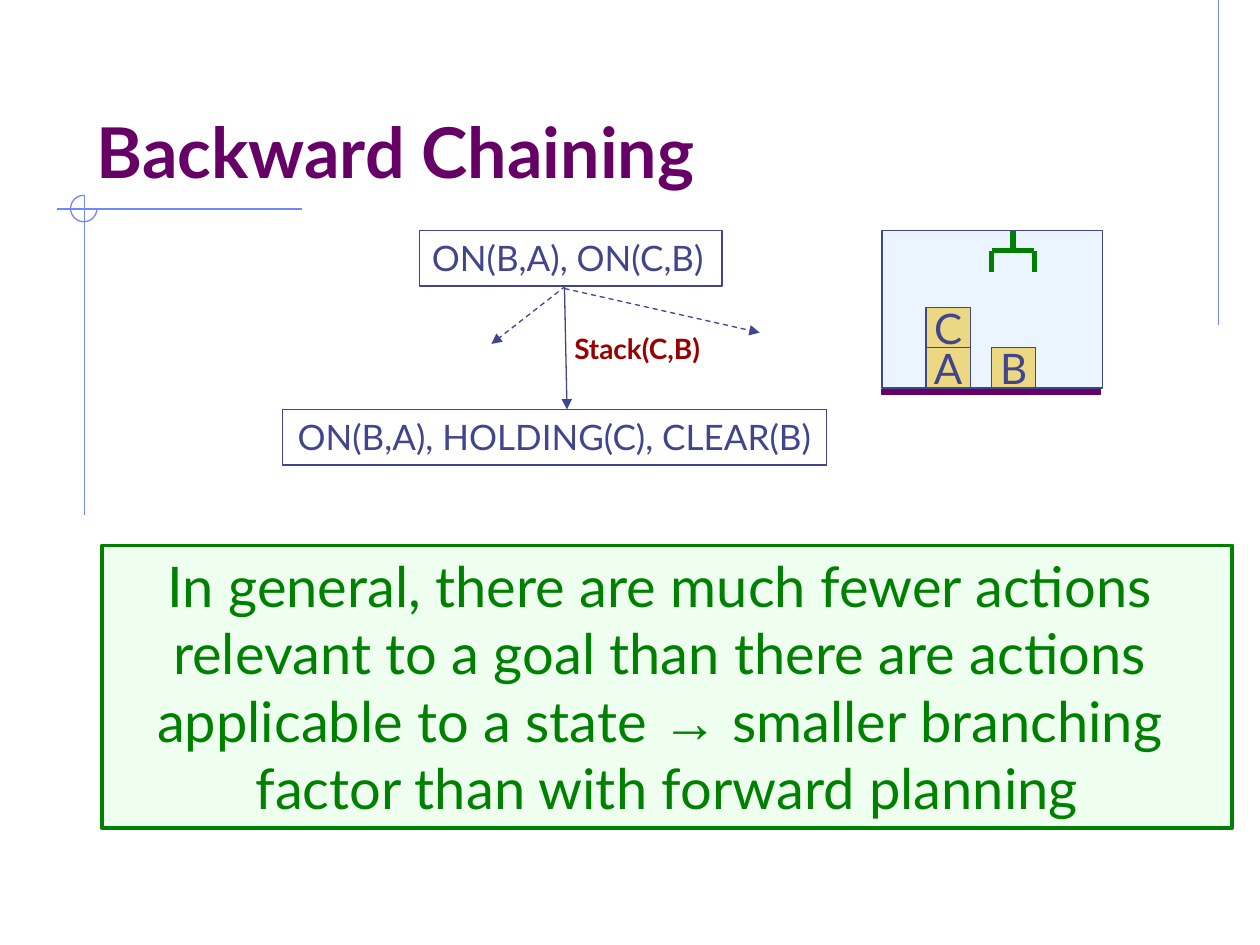
from dataclasses import dataclass
from typing import Optional

from lxml import etree
from pptx import Presentation
from pptx.dml.color import RGBColor
from pptx.enum.dml import MSO_LINE
from pptx.enum.shapes import MSO_CONNECTOR, MSO_SHAPE
from pptx.enum.text import MSO_ANCHOR, MSO_AUTO_SIZE, PP_ALIGN
from pptx.oxml.ns import qn
from pptx.util import Inches, Pt

DASH = MSO_LINE.DASH
STRAIGHT = MSO_CONNECTOR.STRAIGHT
RECTANGLE, ARC = MSO_SHAPE.RECTANGLE, MSO_SHAPE.ARC
TOP, MIDDLE, BOTTOM = MSO_ANCHOR.TOP, MSO_ANCHOR.MIDDLE, MSO_ANCHOR.BOTTOM
FIT, FIXED = MSO_AUTO_SIZE.SHAPE_TO_FIT_TEXT, MSO_AUTO_SIZE.NONE
LEFT, CENTER = PP_ALIGN.LEFT, PP_ALIGN.CENTER

COLORS = {
    "ornament": "6F89F7",
    "purple": "660066",
    "ink": "40458C",
    "action": "990000",
    "green": "008000",
    "mint": "EFFFEF",
    "sky": "EBF5FF",
    "block": "ECD882",
}


@dataclass
class Line:
    start: tuple[float, float]
    end: tuple[float, float]
    color: str = "ink"
    width: float = 0.75
    arrow: bool = False
    dashed: bool = False


@dataclass
class Box:
    left: float
    top: float
    width: float
    height: float
    fill: Optional[str] = None
    outline: Optional[str] = "ink"
    line_width: float = 0.75


@dataclass
class Label:
    paragraphs: list[str]
    size: int
    color: str = "ink"
    bold: bool = False
    align: PP_ALIGN = CENTER
    anchor: MSO_ANCHOR = TOP
    fit: MSO_AUTO_SIZE = FIT


def rgb(name: str) -> RGBColor:
    return RGBColor.from_string(COLORS[name])


def draw_line(slide, line: Line) -> None:
    points = [Inches(value) for value in (*line.start, *line.end)]
    connector = slide.shapes.add_connector(STRAIGHT, *points)
    connector.line.color.rgb = rgb(line.color)
    connector.line.width = Pt(line.width)
    if line.dashed:
        connector.line.dash_style = DASH
    if line.arrow:
        outline = connector.line._get_or_add_ln()
        etree.SubElement(outline, qn("a:tailEnd"), type="triangle")
    etree.SubElement(connector._element.spPr, qn("a:effectLst"))


def draw_box(slide, box: Box, preset: MSO_SHAPE = RECTANGLE):
    place = [Inches(value) for value in (box.left, box.top, box.width, box.height)]
    shape = slide.shapes.add_shape(preset, *place)
    shape.shadow.inherit = False
    if box.fill:
        shape.fill.solid()
        shape.fill.fore_color.rgb = rgb(box.fill)
    else:
        shape.fill.background()
    if box.outline:
        shape.line.color.rgb = rgb(box.outline)
        shape.line.width = Pt(box.line_width)
    else:
        shape.line.fill.background()
    return shape


def add_span(para, text: str, label: Label) -> None:
    span = para.add_run()
    span.text = text
    formats = {
        "name": "Arial" if text == "→" else "Lato",
        "size": Pt(label.size),
        "bold": label.bold,
    }
    for name, value in formats.items():
        setattr(span.font, name, value)
    span.font.color.rgb = rgb(label.color)


def write_label(shape, label: Label) -> None:
    frame = shape.text_frame
    formats = {"word_wrap": False, "vertical_anchor": label.anchor, "auto_size": label.fit}
    for name, value in formats.items():
        setattr(frame, name, value)
    for index, text in enumerate(label.paragraphs):
        para = frame.add_paragraph() if index else frame.paragraphs[0]
        para.alignment = label.align
        for row, line in enumerate(text.split("\n")):
            if row:
                para.add_line_break()
            before, arrow, after = line.partition("→")
            for part in filter(None, (before, arrow, after)):
                add_span(para, part, label)


def draw_text(slide, box: Box, label: Label) -> None:
    place = [Inches(value) for value in (box.left, box.top, box.width, box.height)]
    write_label(slide.shapes.add_textbox(*place), label)


def draw_ornament(slide) -> None:
    for start, end in (
        ((9.67, 0), (9.67, 2.58)),
        ((2.4, 1.66), (0.45, 1.66)),
        ((0.67, 1.55), (0.67, 4.09)),
    ):
        draw_line(slide, Line(start, end, "ornament"))
    arc = draw_box(slide, Box(0.56, 1.55, 0.21, 0.21, outline="ornament"), ARC)
    arc.adjustments[0] = 0
    arc.adjustments[1] = 162


def draw_goals(slide) -> None:
    goal = draw_box(slide, Box(3.33, 1.83, 2.4, 0.44))
    write_label(goal, Label(["ON(B,A), ON(C,B)"], 20, align=LEFT))
    draw_text(
        slide,
        Box(4.46, 2.58, 1.3, 0.37),
        Label(["Stack(C,B)"], 16, "action", bold=True, align=LEFT),
    )
    subgoal = draw_box(slide, Box(2.24, 3.25, 4.32, 0.44))
    write_label(subgoal, Label(["ON(B,A), HOLDING(C), CLEAR(B)"], 20))


def draw_world(slide) -> None:
    draw_box(slide, Box(7, 1.83, 1.75, 1.25, "sky"))
    draw_box(slide, Box(7, 3.09, 1.73, 0.04, "purple", "purple"))
    block_width, block_height, floor = 0.35, 0.32, 3.08
    for name, left, level in (("A", 7.35, 1), ("B", 7.87, 1), ("C", 7.35, 2)):
        top = floor - level * block_height
        block = draw_box(slide, Box(left, top, block_width, block_height, "block"))
        write_label(block, Label([name], 24, anchor=MIDDLE, fit=FIXED))
    left, center, right = 7.87, 8.04, 8.21
    top, bar, bottom = 1.83, 1.99, 2.16
    for start, end in (
        ((left, bar), (right, bar)),
        ((left, bar), (left, bottom)),
        ((center, top), (center, bar)),
        ((right, bar), (right, bottom)),
    ):
        draw_line(slide, Line(start, end, "green", 3))


def draw_branches(slide) -> None:
    for start, end, dashed in (
        ((4.48, 2.28), (4.5, 3.25), False),
        ((4.49, 2.27), (3.9, 2.73), True),
        ((4.48, 2.29), (6.03, 2.64), True),
    ):
        draw_line(slide, Line(start, end, arrow=True, dashed=dashed))


def main() -> None:
    deck = Presentation()
    deck.slide_width, deck.slide_height = Inches(10), Inches(7.5)
    slide = deck.slides.add_slide(deck.slide_layouts[6])
    draw_ornament(slide)
    title = Label(["Backward Chaining"], 40, "purple", True, LEFT, BOTTOM, FIXED)
    draw_text(slide, Box(0.67, 0.33, 8.5, 1.25), title)
    draw_goals(slide)
    draw_world(slide)
    draw_branches(slide)
    conclusion = [
        "In general, there are much fewer actions \n"
        "relevant to a goal than there are actions \n"
        "applicable to a state → smaller branching ",
        "factor than with forward planning",
    ]
    summary = draw_box(slide, Box(0.81, 4.33, 8.97, 2.24, "mint", "green", 2.25))
    write_label(summary, Label(conclusion, 32, "green"))
    deck.save("out.pptx")


if __name__ == "__main__":
    main()
